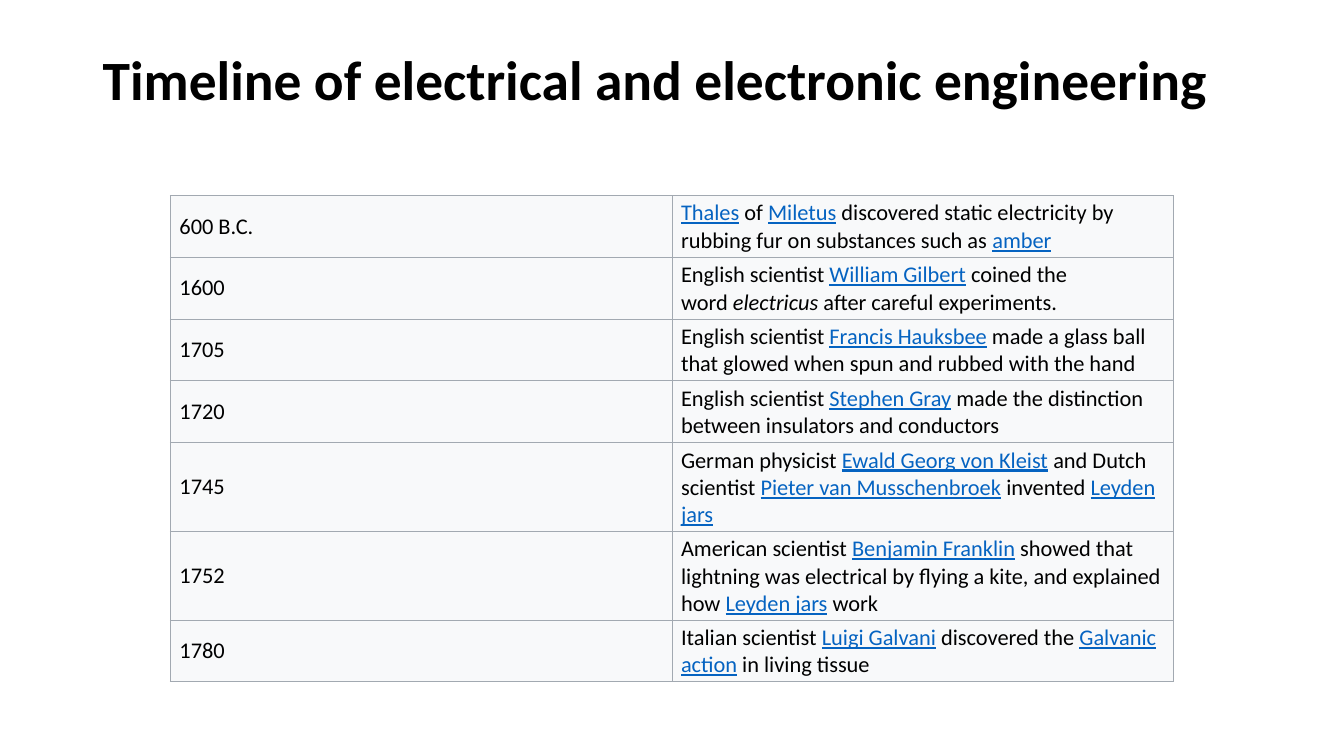
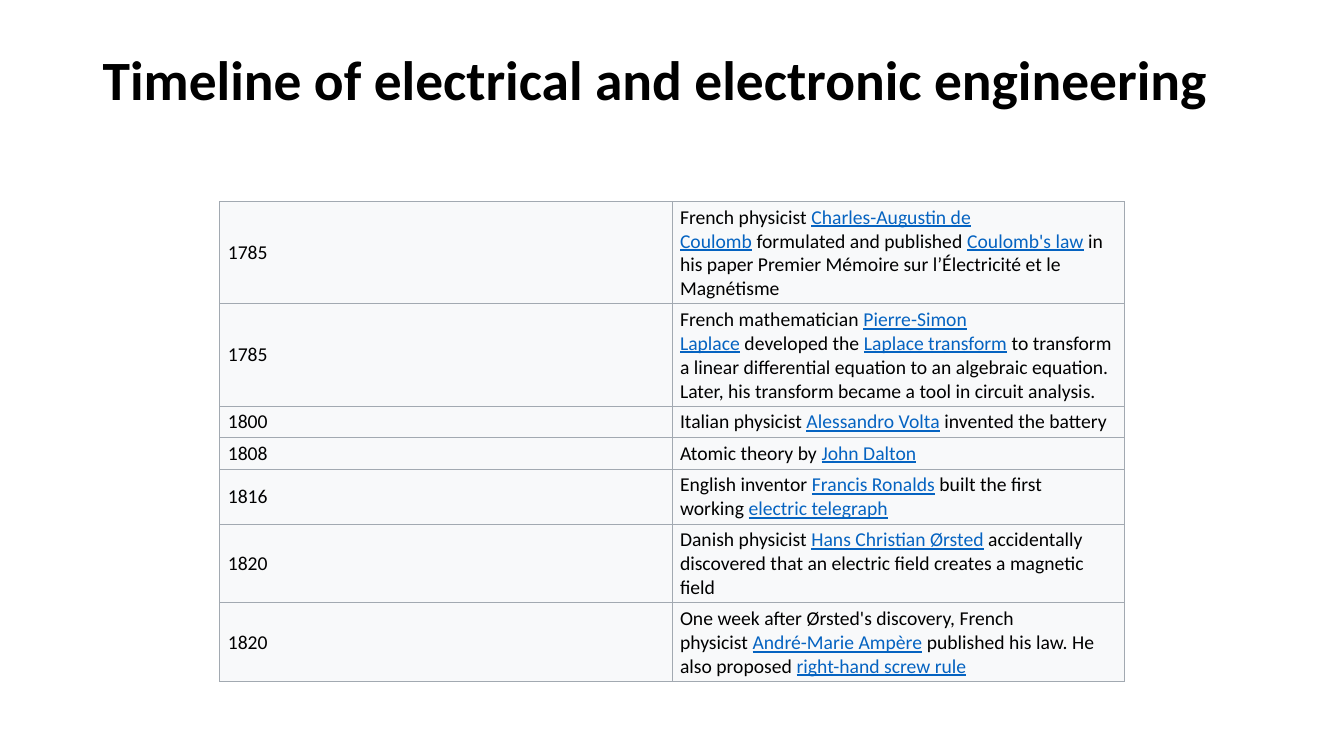
from lxml import etree
from pptx import Presentation
from pptx.dml.color import RGBColor
from pptx.enum.text import MSO_ANCHOR
from pptx.oxml.ns import qn
from pptx.util import Inches, Pt

MIDDLE, TOP = MSO_ANCHOR.MIDDLE, MSO_ANCHOR.TOP
BLACK = RGBColor(0x00, 0x00, 0x00)
LINK = RGBColor(0x05, 0x63, 0xC1)
PALE = RGBColor(0xF8, 0xF9, 0xFA)
RULE = RGBColor(0xA2, 0xA9, 0xB1)
FONT = "Calibri"
HARD = chr(160)
TITLE = "Timeline of electrical and electronic engineering"

EARLY = [
    ("600 B.C.", "|Thales| of |Miletus| discovered static electricity by rubbing fur on substances such as |amber|", 2),
    ("1600", "English scientist |William Gilbert| coined the word |/electricus| after careful experiments.", 2),
    ("1705", "English scientist |Francis Hauksbee| made a glass ball that glowed when spun and rubbed with the hand", 2),
    ("1720", "English scientist |Stephen Gray| made the distinction between insulators and conductors", 2),
    ("1745", "German physicist |Ewald Georg von Kleist| and Dutch scientist |Pieter van Musschenbroek| invented |Leyden jars|", 3),
    ("1752", "American scientist |Benjamin Franklin| showed that lightning was electrical by flying a kite, "
             "and explained how |Leyden jars| work", 3),
    ("1780", "Italian scientist |Luigi Galvani| discovered the |Galvanic action| in living tissue", 2),
]
LATER = [
    ("1785", "French physicist |Charles-Augustin de Coulomb| formulated and published |Coulomb's law| in his paper "
             "Premier Mémoire sur l’Électricité et le Magnétisme", 4),
    ("1785", "French mathematician |Pierre-Simon Laplace| developed the |Laplace transform| to transform a linear "
             "differential equation to an algebraic equation. Later, his transform became a tool in circuit analysis.", 4),
    ("1800", "Italian physicist |Alessandro Volta| invented the battery", 1),
    ("1808", "Atomic theory by |John Dalton|", 1),
    ("1816", "English inventor |Francis Ronalds| built the first working |electric telegraph|", 2),
    ("1820", "Danish physicist |Hans Christian Ørsted| accidentally discovered that an electric field creates "
             "a magnetic field", 3),
    ("1820", "One week after Ørsted's discovery, French physicist |André-Marie Ampère| published his law. "
             "He also proposed |right-hand screw rule|", 3),
]


def write(frame, text, size=16, bold=False, spacing=1.0):
    """Fill a frame; bars mark link runs, and a leading slash makes one italic."""
    frame.word_wrap = True
    para = frame.paragraphs[0]
    para.line_spacing = spacing
    text = text.replace(" |", HARD + "|").replace("| ", "|" + HARD)
    for index, part in enumerate(text.split("|")):
        if not part:
            continue
        italic = part.startswith("/")
        link = index % 2 == 1 and not italic
        run = para.add_run()
        run.text = part.lstrip("/")
        font = run.font
        font.name, font.size, font.bold = FONT, Pt(size), bold
        font.italic, font.underline = italic, link
        font.color.rgb = LINK if link else BLACK


def border(cell):
    """Draw a thin rule on all four sides of a cell."""
    props = cell._tc.get_or_add_tcPr()
    for side in ("a:lnL", "a:lnR", "a:lnT", "a:lnB"):
        line = etree.SubElement(props, qn(side), w=str(Pt(0.75)))
        fill = etree.SubElement(line, qn("a:solidFill"))
        etree.SubElement(fill, qn("a:srgbClr"), val=str(RULE))


def add_title(slide, left, top, width, height):
    """Place the bold slide title near the top of its box."""
    frame = slide.shapes.add_textbox(Inches(left), Inches(top), Inches(width), Inches(height)).text_frame
    frame.margin_top = Inches(0.12)
    frame.vertical_anchor = TOP
    write(frame, TITLE, size=39.6, bold=True, spacing=0.9)


def add_events(slide, events, left, top, width, size, inset):
    """Place a table of years and events, each row as tall as its lines."""
    heights = [0.08 + lines * size / 60 for _, _, lines in events]
    table = slide.shapes.add_table(len(events), 2, Inches(left), Inches(top),
                                   Inches(width), Inches(sum(heights))).table
    table.first_row = table.horz_banding = False
    for row, height, event in zip(table.rows, heights, events):
        row.height = Inches(height)
        for cell, text in zip(row.cells, event):
            border(cell)
            cell.fill.solid()
            cell.fill.fore_color.rgb = PALE
            cell.vertical_anchor = MIDDLE
            cell.margin_left = cell.margin_right = Inches(inset)
            cell.margin_top = cell.margin_bottom = Inches(0.04)
            write(cell.text_frame, text, size=size)


def add_slide(deck, events, **place):
    """Add one timeline slide with its title and table."""
    slide = deck.slides.add_slide(deck.slide_layouts[6])
    add_title(slide, 0.92, 0.4, 11.5, 1.45)
    add_events(slide, events, **place)


def main():
    """Build and save the deck."""
    deck = Presentation()
    deck.slide_width, deck.slide_height = Inches(13.33), Inches(7.5)
    add_slide(deck, EARLY, left=1.69, top=1.94, width=9.95, size=16, inset=0.09)
    add_slide(deck, LATER, left=2.18, top=2, width=8.97, size=14, inset=0.08)
    deck.save("out.pptx")


if __name__ == "__main__":
    main()
